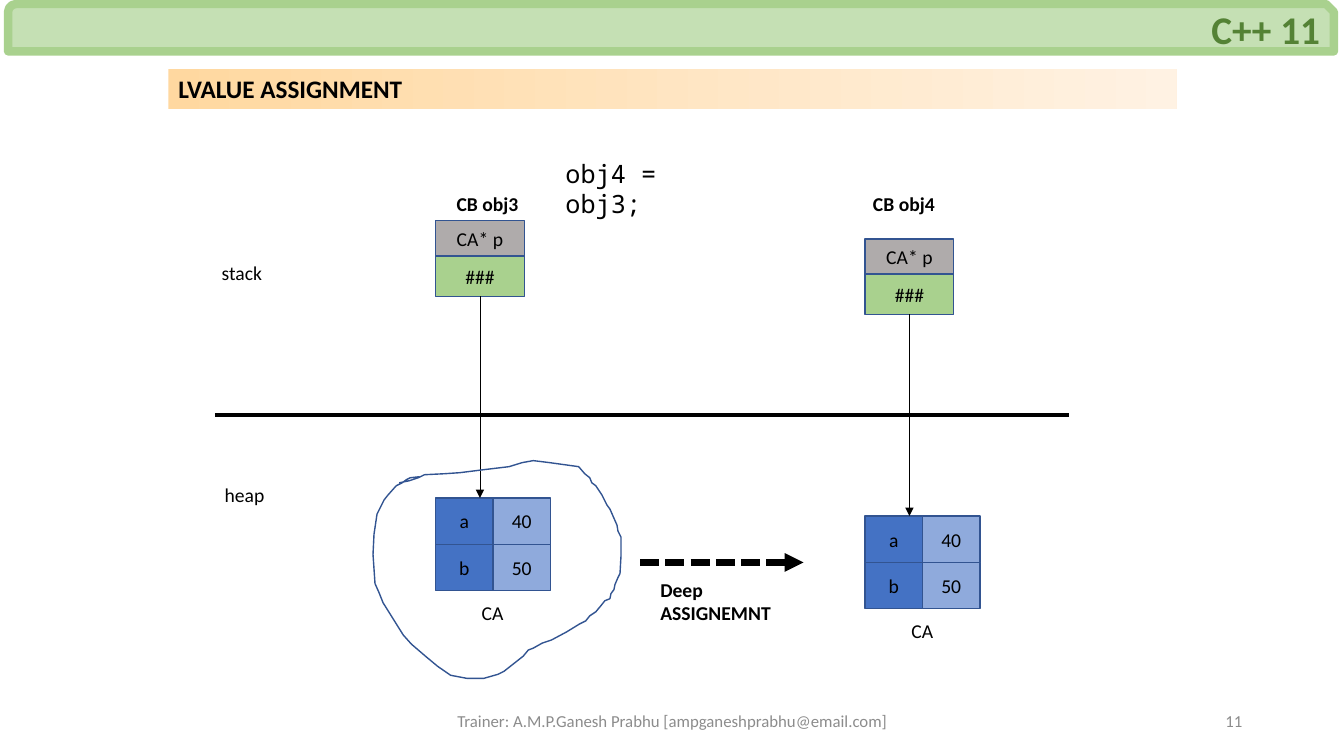
from lxml import etree
from pptx import Presentation
from pptx.dml.color import RGBColor
from pptx.enum.dml import MSO_LINE
from pptx.enum.shapes import MSO_CONNECTOR, MSO_SHAPE
from pptx.enum.text import MSO_ANCHOR, MSO_AUTO_SIZE, PP_ALIGN
from pptx.oxml.ns import qn
from pptx.util import Pt

LEFT, CENTER, RIGHT = PP_ALIGN.LEFT, PP_ALIGN.CENTER, PP_ALIGN.RIGHT
TOP, MIDDLE = MSO_ANCHOR.TOP, MSO_ANCHOR.MIDDLE
RECT, SNIP_ROUND = MSO_SHAPE.RECTANGLE, MSO_SHAPE.SNIP_ROUND_RECTANGLE
STRAIGHT, SHORT_DASH = MSO_CONNECTOR.STRAIGHT, MSO_LINE.SQUARE_DOT
BOTTOM_SITE = 2

BLACK = RGBColor(0x00, 0x00, 0x00)
GRAY = RGBColor(0x8C, 0x8C, 0x8C)
OUTLINE = RGBColor(0x32, 0x54, 0x91)
POINTER_FILL = RGBColor(0xAF, 0xAB, 0xAB)
GREEN = RGBColor(0xA9, 0xD1, 0x8E)
PALE_GREEN = RGBColor(0xC5, 0xE0, 0xB4)
DARK_GREEN = RGBColor(0x54, 0x82, 0x35)
BLUE = RGBColor(0x44, 0x72, 0xC4)
PALE_BLUE = RGBColor(0x8F, 0xAA, 0xDC)
BAND_START = RGBColor(0xFF, 0xD8, 0xA0)
BAND_END = RGBColor(0xFF, 0xF2, 0xE3)

PX = 9144  # one px is a hundredth of an inch

# Content: boxes are (left, top, width, height)
TITLE = ("LVALUE ASSIGNMENT", (167, 68, 1000, 40))
HEADER = ("C++ 11", (8, 4, 1315, 47))
BOLD = {"bold": True}
FOOTER = {"size": Pt(12), "color": GRAY}
TEXTS = [
    ("stack", (210, 254, 100, 34), LEFT, TOP, {}),
    ("heap", (213, 474, 84, 34), LEFT, TOP, {}),
    ("Deep ASSIGNEMNT", (645, 568, 141, 57), LEFT, TOP, BOLD),
    ("obj4 = obj3;", (551, 152, 186, 40), LEFT, TOP,
     {"size": Pt(18), "name": "Noto Sans Mono"}),
    ("Trainer: A.M.P.Ganesh Prabhu [ampganeshprabhu@email.com]",
     (442, 695, 450, 40), CENTER, MIDDLE, FOOTER),
    ("11", (942, 695, 300, 40), RIGHT, MIDDLE, FOOTER),
]
OBJECTS = [  # name, name position, pointer position
    ("CB obj3", (443, 185), (432, 219)),
    ("CB obj4", (856, 185), (858, 237)),
]
POINTER_ROWS = [("CA* p", 35, POINTER_FILL), ("###", 40, GREEN)]
POINTER_WIDTH = 88
MEMBERS = [("a", "40"), ("b", "50")]
MEMBER_FILLS = (BLUE, PALE_BLUE)
MEMBER_WIDTH, MEMBER_HEIGHT, HEAP_DROP = 57, 46, 275
CLASS_NAME = "CA"
DIVIDER = ((213, 412), (1060, 412))
COPY_ARROW = ((635, 558), (797, 558))
LASSO = [
    (396, 479), (406, 477), (415, 474), (421, 471), (441, 470), (456, 469),
    (480, 466), (505, 463), (518, 459), (529, 457), (545, 459), (574, 463),
    (580, 470), (585, 474), (587, 479), (591, 482), (597, 491), (602, 501),
    (605, 505), (612, 521), (613, 527), (616, 533), (616, 551), (615, 569),
    (613, 573), (610, 580), (609, 585), (606, 589), (605, 594), (600, 596),
    (596, 601), (591, 607), (585, 611), (581, 616), (575, 619), (562, 627),
    (547, 635), (538, 638), (529, 643), (524, 645), (519, 651), (500, 666),
    (494, 669), (480, 673), (463, 673), (447, 670), (434, 661), (422, 651),
    (408, 639), (400, 630), (390, 614), (380, 598), (376, 588), (372, 579),
    (370, 550), (371, 530), (374, 510), (378, 502), (381, 496), (385, 491),
    (393, 482), (399, 479), (403, 476), (407, 474), (416, 473),
]

deck = Presentation()
deck.slide_width, deck.slide_height = 1333 * PX, 750 * PX
page = deck.slides.add_slide(deck.slide_layouts[5])
shapes = page.shapes


def emu(lengths):
    return [length * PX for length in lengths]


def write(box, text, align, anchor, changes):
    frame = box.text_frame
    frame.word_wrap = True
    frame.auto_size = MSO_AUTO_SIZE.NONE
    frame.vertical_anchor = anchor
    para = frame.paragraphs[0]
    para.alignment = align
    span = para.add_run()
    span.text = text
    look = {"size": Pt(14), "name": "Calibri", "bold": False, "color": BLACK, **changes}
    span.font.color.rgb = look.pop("color")
    for key, value in look.items():
        setattr(span.font, key, value)


def add_text(text, place, align, anchor, changes):
    write(shapes.add_textbox(*emu(place)), text, align, anchor, changes)


def outline(item, color, width):
    item.line.color.rgb = color
    item.line.width = Pt(width)


def add_cell(text, place, fill, kind=RECT, line=OUTLINE, width=1, align=CENTER, changes={}):
    cell = shapes.add_shape(kind, *emu(place))
    cell.shadow.inherit = False
    cell.fill.solid()
    cell.fill.fore_color.rgb = fill
    outline(cell, line, width)
    write(cell, text, align, MIDDLE, changes)
    return cell


def add_line(start, end, width, arrow=True):
    link = shapes.add_connector(STRAIGHT, *emu(start + end))
    outline(link, BLACK, width)
    if arrow:
        etree.SubElement(link.line._get_or_add_ln(), qn("a:tailEnd"), type="triangle")
    etree.SubElement(link._element.spPr, qn("a:effectLst"))
    return link


# Title band and header bar
text, place = TITLE
title = shapes.title
title.left, title.top, title.width, title.height = emu(place)
title.fill.gradient()
title.fill.gradient_angle = 0
for stop, color in zip(title.fill.gradient_stops, (BAND_START, BAND_END)):
    stop.color.rgb = color
write(title, text, LEFT, MIDDLE, {"size": Pt(18), "bold": True})
add_cell(*HEADER, PALE_GREEN, SNIP_ROUND, GREEN, 6, RIGHT,
         {"size": Pt(28), "bold": True, "color": DARK_GREEN})

# Stack and heap divider
add_line(*DIVIDER, 3, arrow=False)

# Each object: pointer on the stack, members on the heap
for name, (name_left, name_top), (left, top) in OBJECTS:
    add_text(name, (name_left, name_top, 115, 34), LEFT, TOP, BOLD)
    bottom = top
    for text, height, fill in POINTER_ROWS:
        pointer = add_cell(text, (left, bottom, POINTER_WIDTH, height), fill)
        bottom += height
    heap_top = top + HEAP_DROP
    for row, member in enumerate(MEMBERS):
        for column, text in enumerate(member):
            add_cell(text, (left + column * MEMBER_WIDTH, heap_top + row * MEMBER_HEIGHT,
                            MEMBER_WIDTH, MEMBER_HEIGHT), MEMBER_FILLS[column])
    add_text(CLASS_NAME, (left + 36, top + 372, 104, 34), LEFT, TOP, {})
    middle = left + POINTER_WIDTH // 2
    link = add_line((middle, bottom), (middle, heap_top), 0.5)
    link.begin_connect(pointer, BOTTOM_SITE)

# Hand-drawn loop around the first heap block
builder = shapes.build_freeform(*LASSO[0], scale=PX)
builder.add_line_segments(LASSO[1:], close=False)
loop = builder.convert_to_shape()
loop.shadow.inherit = False
loop.fill.background()
outline(loop, OUTLINE, 1)

# Deep assignment arrow, labels and footer
add_line(*COPY_ARROW, 4.5).line.dash_style = SHORT_DASH
for entry in TEXTS:
    add_text(*entry)

deck.save("out.pptx")
